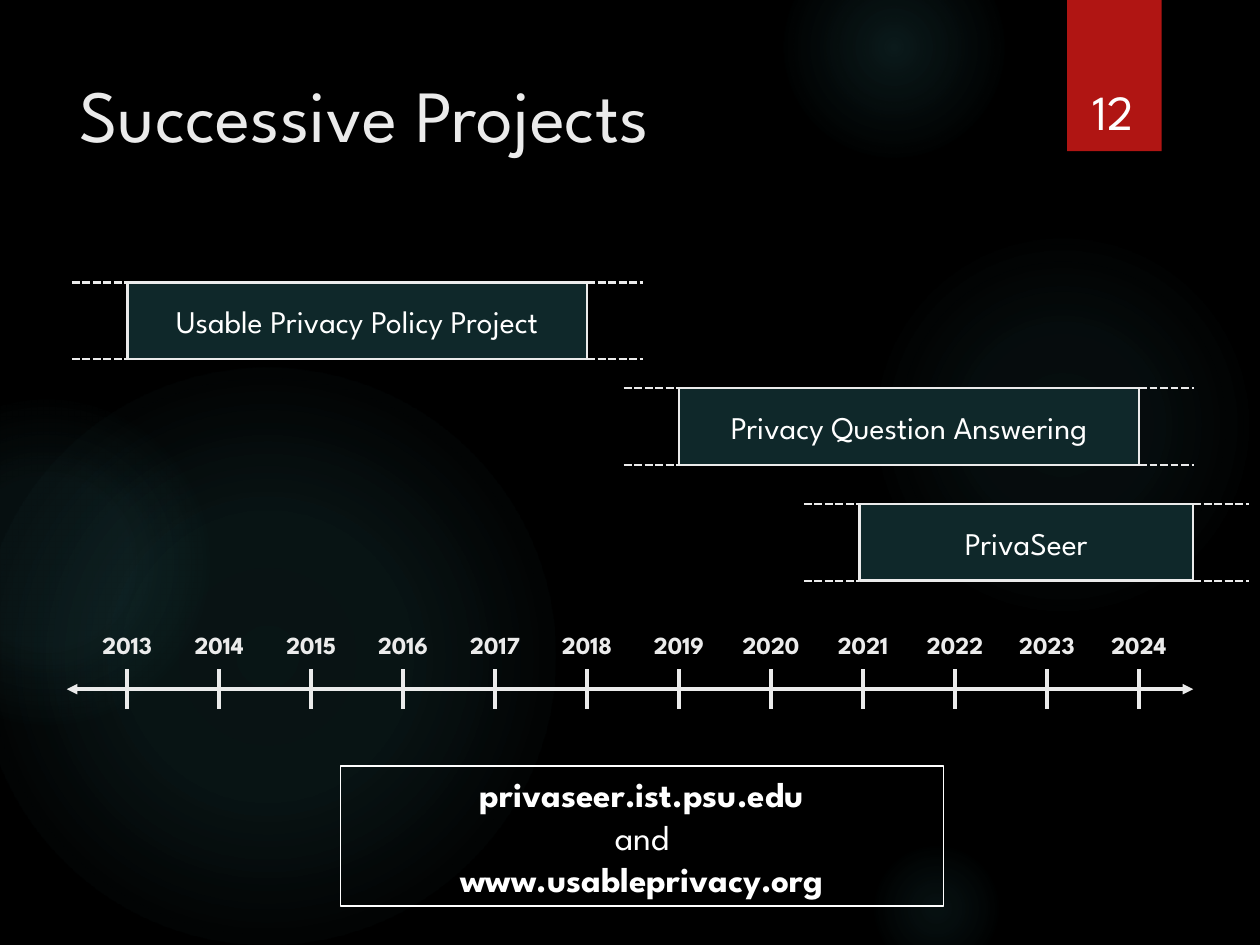
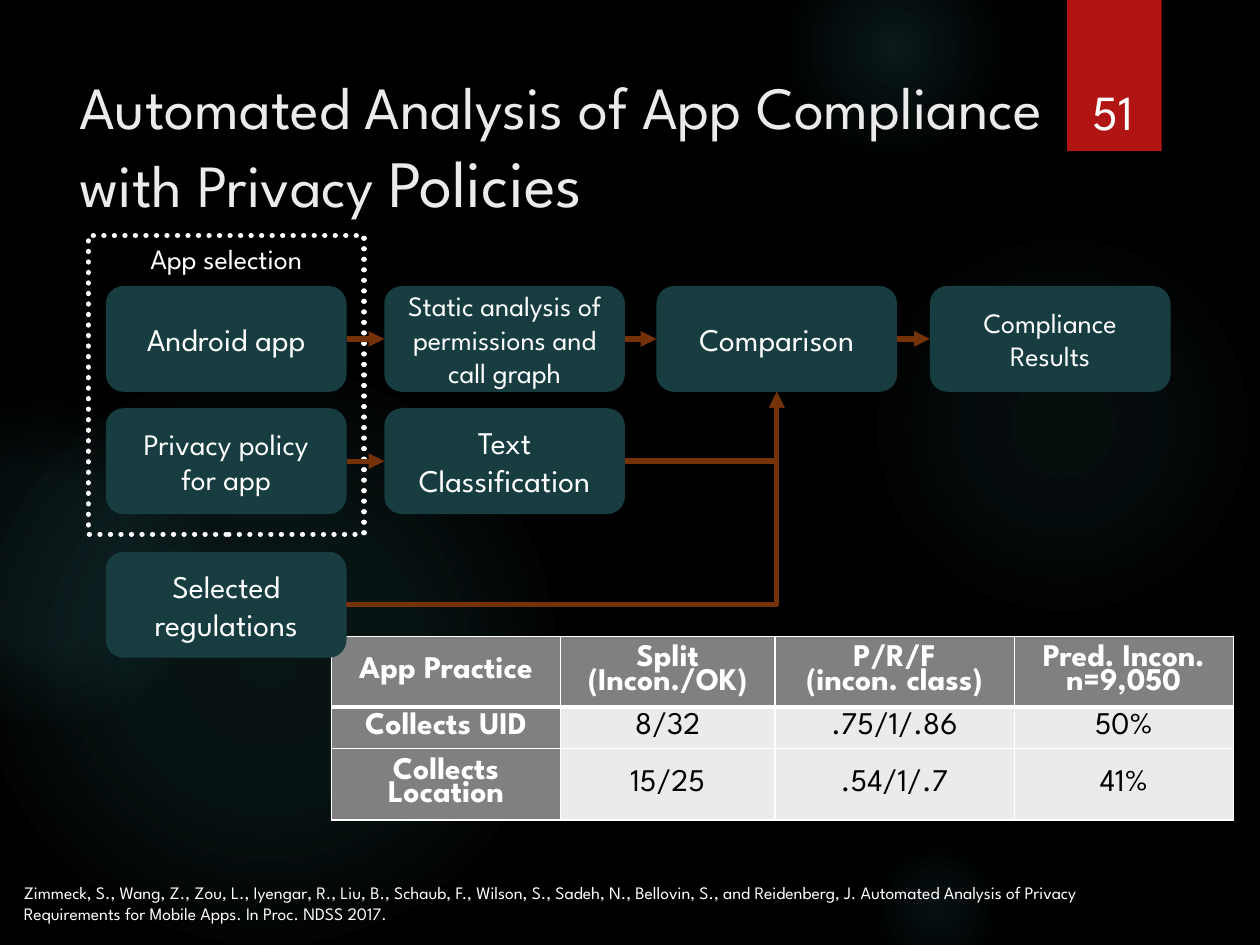
import pptx
import pptx.dml.color
import pptx.enum.dml
import pptx.enum.shapes
import pptx.enum.text
import pptx.oxml
import pptx.oxml.ns
import pptx.util
from lxml import etree

Inches = pptx.util.Inches
Pt = pptx.util.Pt
KIND = pptx.enum.shapes.MSO_SHAPE
LINK = pptx.enum.shapes.MSO_CONNECTOR
DASH = pptx.enum.dml.MSO_LINE
ALIGN = pptx.enum.text.PP_ALIGN
ANCHOR = pptx.enum.text.MSO_ANCHOR
FIT = pptx.enum.text.MSO_AUTO_SIZE
qn = pptx.oxml.ns.qn

FONT = "League Spartan"
HEX = {
    "back": "000000", "glow": "50B9C1", "ribbon": "B01513", "pale": "EBEBEB",
    "white": "FFFFFF", "black": "000000", "bar": "0F282A", "step": "173D40",
    "arrow": "753209", "head": "808080",
}
# left, top, diameter, then (stop, opacity) pairs in percent
GLOWS = [
    (6.89, 1.83, 3.08, [(0, 7), (36, 6), (69, 0)]),
    (6.22, -0.5, 1.75, [(0, 14), (36, 7), (73, 0)]),
    (6.89, 6.67, 1.08, [(0, 9), (36, 5), (66, 0)]),
    (-0.17, 2.92, 4.58, [(0, 11), (36, 10), (75, 0)]),
    (-0.92, 3.17, 2.58, [(0, 8), (36, 8), (72, 0)]),
]


def tint(name):
    return pptx.dml.color.RGBColor.from_string(HEX[name])


class Deck:
    def __init__(self):
        self.prs = pptx.Presentation()
        self.prs.slide_width = Inches(10)
        self.prs.slide_height = Inches(7.5)
        self.slide = None

    def start(self, title, number, size, width):
        """Add a slide with its title and ribbon number; return the title."""
        first = self.slide is None
        self.slide = self.prs.slides.add_slide(self.prs.slide_layouts[5])
        if first:
            self.theme()
        head = self.slide.shapes.title
        head.left, head.top = Inches(0.53), Inches(0.5)
        head.width, head.height = Inches(width), Inches(1.53)
        self.put(head.text_frame, title, size, "pale",
                 align=ALIGN.LEFT, anchor=ANCHOR.TOP)
        self.label(number, 8.49, 0.32, 0.69, 0.84, 28, anchor=ANCHOR.BOTTOM)
        return head

    def theme(self):
        """Put the background, glows and ribbon on the slide master."""
        master = self.prs.slide_master
        master.background.fill.solid()
        master.background.fill.fore_color.rgb = tint("back")
        decor = [self.glow(*glow) for glow in GLOWS]
        decor.append(self.shape(KIND.RECTANGLE, 8.47, 0, 0.75, 1.2, "ribbon"))
        for place, item in enumerate(decor, 2):
            master.shapes.element.insert(place, item.element)

    def glow(self, left, top, size, stops):
        disc = self.shape(KIND.OVAL, left, top, size, size)
        marks = "".join(
            f'<a:gs pos="{pos * 1000}"><a:srgbClr val="{HEX["glow"]}">'
            f'<a:alpha val="{alpha * 1000}"/></a:srgbClr></a:gs>'
            for pos, alpha in stops)
        grad = pptx.oxml.parse_xml(
            f'<a:gradFill {pptx.oxml.ns.nsdecls("a")} rotWithShape="1">'
            f'<a:gsLst>{marks}</a:gsLst><a:path path="circle">'
            '<a:fillToRect l="50000" t="50000" r="50000" b="50000"/>'
            '</a:path></a:gradFill>')
        props = disc.element.spPr
        props.replace(props.find(qn("a:noFill")), grad)
        return disc

    def put(self, frame, text, size, color="white", bold=False,
            align=ALIGN.CENTER, anchor=ANCHOR.MIDDLE):
        """Fill a text frame and format all of its runs."""
        frame.text = text
        frame.word_wrap = True
        frame.auto_size = FIT.NONE
        frame.vertical_anchor = anchor
        for para in frame.paragraphs:
            para.alignment = align
            for run in para.runs:
                self.style(run, size, color, bold)

    def style(self, run, size, color, bold=False):
        run.font.name, run.font.size, run.font.bold = FONT, Pt(size), bold
        run.font.color.rgb = tint(color)

    def label(self, text, left, top, width, height, size, color="white",
              bold=False, align=ALIGN.CENTER, anchor=ANCHOR.TOP):
        box = self.slide.shapes.add_textbox(
            Inches(left), Inches(top), Inches(width), Inches(height))
        self.put(box.text_frame, text, size, color, bold, align, anchor)

    def shape(self, kind, left, top, width, height, fill=None, line=None,
              weight=1.5):
        item = self.slide.shapes.add_shape(
            kind, Inches(left), Inches(top), Inches(width), Inches(height))
        item.shadow.inherit = False
        if fill:
            item.fill.solid()
            item.fill.fore_color.rgb = tint(fill)
        else:
            item.fill.background()
        if line:
            item.line.color.rgb = tint(line)
            item.line.width = Pt(weight)
        else:
            item.line.fill.background()
        return item

    def line(self, x1, y1, x2, y2, color="pale", weight=2.0, dash=None,
             ends=(), kind=LINK.STRAIGHT):
        item = self.slide.shapes.add_connector(
            kind, Inches(x1), Inches(y1), Inches(x2), Inches(y2))
        item.line.color.rgb = tint(color)
        item.line.width = Pt(weight)
        if dash:
            item.line.dash_style = dash
        props = item.element.spPr
        for end in ends:
            etree.SubElement(props.find(qn("a:ln")), qn("a:" + end), type="triangle")
        etree.SubElement(props, qn("a:effectLst"))
        return item

    def join(self, start, stop, bent=False):
        """Arrow from the right side of start to the left, or bottom, of stop."""
        kind = LINK.ELBOW if bent else LINK.STRAIGHT
        item = self.line(0, 0, 1, 1, "arrow", 3, ends=["tailEnd"], kind=kind)
        item.begin_connect(start, 3)
        item.end_connect(stop, 2 if bent else 1)
        if bent:
            geom = item.element.spPr.find(qn("a:prstGeom"))
            geom.set("prst", "bentConnector2")

    def table(self, rows, left, top, widths, heights):
        grid = self.slide.shapes.add_table(
            len(rows), len(widths), Inches(left), Inches(top),
            Inches(sum(widths)), Inches(sum(heights))).table
        grid.horz_banding = False
        for col, width in zip(grid.columns, widths):
            col.width = Inches(width)
        for r, texts in enumerate(rows):
            grid.rows[r].height = Inches(heights[r])
            for c, text in enumerate(texts):
                self.cell(grid.cell(r, c), text, r, r == 0 or c == 0)

    def cell(self, cell, text, row, head):
        cell.fill.solid()
        cell.fill.fore_color.rgb = tint("head" if head else "pale")
        cell.margin_top = cell.margin_bottom = Inches(0.03)
        cell.vertical_anchor = ANCHOR.MIDDLE
        cell.text_frame.text = text
        for para in cell.text_frame.paragraphs:
            para.alignment, para.line_spacing = ALIGN.CENTER, 0.8
            for run in para.runs:
                self.style(run, 18, "white" if head else "black", head)
        props = cell._tc.get_or_add_tcPr()
        for place, side in enumerate("LRTB"):
            thick = (row, side) in [(0, "B"), (1, "T")]
            edge = etree.Element(qn("a:ln" + side), w=str(Pt(3 if thick else 1)))
            fill = etree.SubElement(edge, qn("a:solidFill"))
            etree.SubElement(fill, qn("a:srgbClr"), val=HEX["white"])
            props.insert(place, edge)


def projects(deck):
    deck.start("Successive Projects", "12", 42, 7.72)
    tall, tail = 0.61, 0.44
    for name, left, top, width in [
            ("Usable Privacy Policy Project", 1.01, 2.24, 3.65),
            ("Privacy Question Answering", 5.39, 3.08, 3.65),
            ("PrivaSeer", 6.82, 4, 2.65)]:
        bar = deck.shape(KIND.RECTANGLE, left, top, width, tall, "bar", "pale")
        deck.put(bar.text_frame, name, 18)
        for y in (top, top + tall):
            for x in (left - tail, left + width):
                deck.line(x, y, x + tail, y, weight=1.5, dash=DASH.SQUARE_DOT)

    deck.line(0.53, 5.47, 9.47, 5.47, ends=["headEnd", "tailEnd"])
    for step, year in enumerate(range(2013, 2025)):
        x = 1.01 + 0.73 * step
        deck.line(x, 5.31, x, 5.63)
        deck.label(str(year), x - 0.44, 4.95, 0.88, 0.34, 14, "pale", True)

    sites = deck.shape(KIND.RECTANGLE, 2.7, 6.08, 4.79, 1.11, None, "white", 0.75)
    deck.put(sites.text_frame,
             "privaseer.ist.psu.edu\nand\nwww.usableprivacy.org", 20, bold=True)
    sites.text_frame.paragraphs[1].runs[0].font.bold = False


def analysis(deck):
    title = deck.start("Automated Analysis of App Compliance with Privacy ",
                       "51", 34.2, 7.96)
    last = title.text_frame.paragraphs[0].add_run()
    last.text = "Policies"
    deck.style(last, 37.8, "pale")

    deck.table([
        ["App Practice", "Split (Incon./OK)", "P/R/F\v(incon. class)",
         "Pred. Incon. n=9,050"],
        ["Collects UID", "8/32", ".75/1/.86", "50%"],
        ["Collects Location", "15/25", ".54/1/.7", "41%"],
    ], 2.63, 5.05, [1.82, 1.7, 1.9, 1.74], [0.56, 0.33, 0.57])
    deck.label(
        "Zimmeck, S., Wang, Z., Zou, L., Iyengar, R., Liu, B., Schaub, F., "
        "Wilson, S., Sadeh, N., Bellovin, S., and Reidenberg, J. Automated "
        "Analysis of Privacy Requirements for Mobile Apps. In Proc. NDSS 2017.",
        0.09, 6.95, 8.59, 0.44, 10, align=ALIGN.LEFT)

    cols, rows = [0.84, 3.05, 5.21, 7.38], [2.27, 3.24, 4.38]

    def step(text, col, row, size=18):
        box = deck.shape(KIND.ROUNDED_RECTANGLE, cols[col], rows[row],
                         1.91, 0.84, "step")
        deck.put(box.text_frame, text, size)
        return box

    policy = step("Privacy policy for app", 0, 1, 17)
    rules = step("Selected regulations", 0, 2)
    app = step("Android app", 0, 0)
    frame = deck.shape(KIND.RECTANGLE, 0.7, 1.87, 2.19, 2.37, None, "white", 3)
    frame.line.dash_style = DASH.ROUND_DOT
    frame.element.spPr.find(qn("a:ln")).set("cap", "rnd")
    deck.label("App selection", cols[0], 1.87, 1.91, 0.37, 16)
    text = step("Text Classification", 1, 1)
    static = step("Static analysis of permissions and call graph", 1, 0, 16)
    result = step("Compliance Results", 3, 0, 16)
    match = step("Comparison", 2, 0)

    for start, stop in [(app, static), (static, match), (match, result),
                        (policy, text)]:
        deck.join(start, stop)
    for start in (rules, text):
        deck.join(start, match, bent=True)


def main():
    deck = Deck()
    projects(deck)
    analysis(deck)
    deck.prs.save("out.pptx")


if __name__ == "__main__":
    main()
